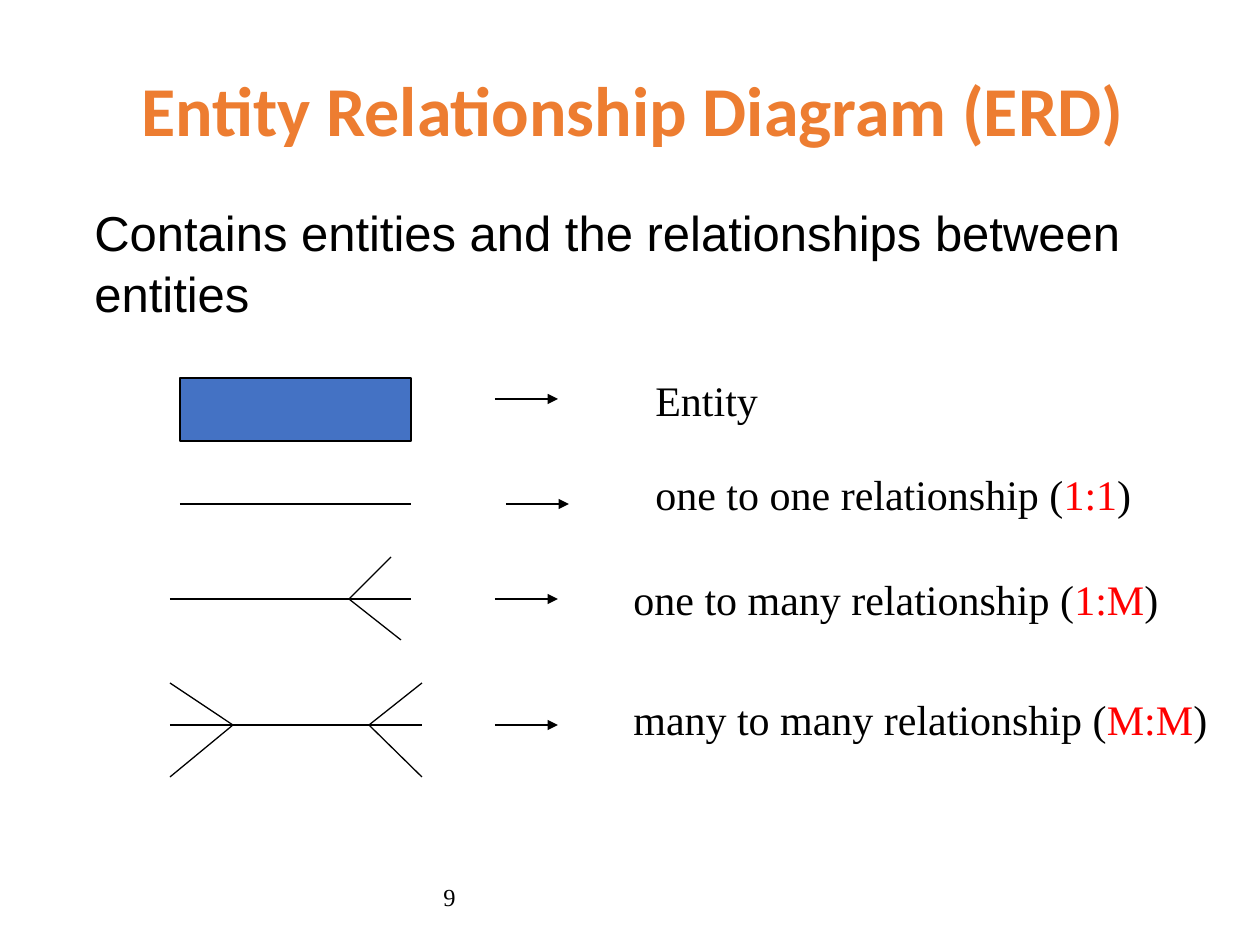
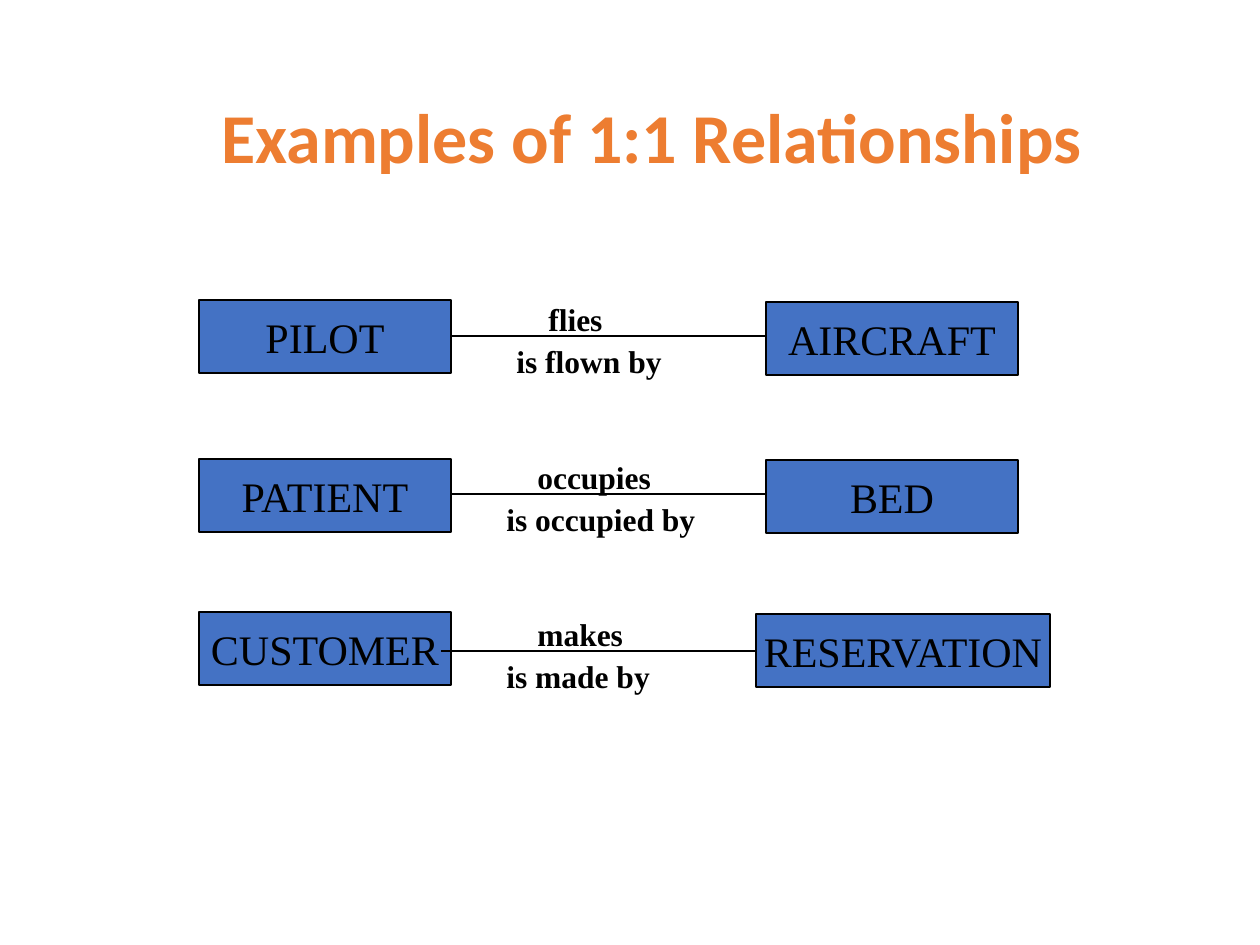
from lxml.etree import SubElement
from pptx import Presentation
from pptx.dml.color import RGBColor
from pptx.enum.shapes import MSO_CONNECTOR as CONNECTOR, MSO_SHAPE as SHAPE
from pptx.enum.text import MSO_ANCHOR as ANCHOR, PP_ALIGN as ALIGN
from pptx.oxml.ns import qn
from pptx.util import Pt

PX = 914400 / 126
COLORS = {"title": "ED7D31", "text": "000000", "cardinality": "FF0000",
          "entity": "4472C4", "line": "000000"}
SERIF = "Times New Roman"
TITLE = dict(font="Calibri", size=40, color="title", bold=True,
             align=ALIGN.CENTER, anchor=ANCHOR.BOTTOM, spacing=0.9)
ENTITY = dict(fill="entity", align=ALIGN.CENTER, anchor=ANCHOR.MIDDLE, wrap=False)


def write(slide, text, at, font=SERIF, size=24, color="text", bold=False,
          align=ALIGN.LEFT, anchor=ANCHOR.TOP, spacing=None, wrap=True,
          fill=None, marked=""):
    """Put text in a box, or in an outlined rectangle if fill is given.

    The part of the text that equals marked takes the cardinality colour.
    """
    place = [round(length * PX) for length in at]
    if fill:
        box = slide.shapes.add_shape(SHAPE.RECTANGLE, *place)
        box.shadow.inherit = False
        box.fill.solid()
        box.fill.fore_color.rgb = RGBColor.from_string(COLORS[fill])
        box.line.color.rgb = RGBColor.from_string(COLORS["line"])
        box.line.width = Pt(0.75)
    else:
        box = slide.shapes.add_textbox(*place)
    frame = box.text_frame
    frame.word_wrap = wrap
    frame.vertical_anchor = anchor
    paragraph = frame.paragraphs[0]
    paragraph.alignment = align
    if spacing:
        paragraph.line_spacing = spacing
    for part in text.partition(marked) if marked else [text]:
        if not part:
            continue
        run = paragraph.add_run()
        run.text = part
        run.font.name = font
        run.font.size = Pt(size)
        run.font.bold = bold
        ink = "cardinality" if part == marked else color
        run.font.color.rgb = RGBColor.from_string(COLORS[ink])


def draw_line(slide, x1, y1, x2, y2, arrow=False):
    ends = [round(length * PX) for length in (x1, y1, x2, y2)]
    line = slide.shapes.add_connector(CONNECTOR.STRAIGHT, *ends)
    line.line.color.rgb = RGBColor.from_string(COLORS["line"])
    line.line.width = Pt(0.75)
    if arrow:
        SubElement(line.line._get_or_add_ln(), qn("a:tailEnd"), type="triangle")
    SubElement(line._element.spPr, qn("a:effectLst"))


deck = Presentation()
deck.slide_width = round(1260 * PX)
deck.slide_height = round(945 * PX)
blank = deck.slide_layouts[6]

# Notation of the diagram
notation = deck.slides.add_slide(blank)
write(notation, "9", (431, 876, 399, 50), size=14)
write(notation, "Entity Relationship Diagram (ERD)", (97, 33, 1071, 125), **TITLE)
write(notation, "Contains entities and the relationships between entities",
      (82, 193, 1137, 645), font="Arial", size=28, spacing=1.05)
write(notation, "", (180, 378, 231, 63), **ENTITY)

symbol_lines = [
    (180, 504, 411, 504),                                                # 1:1
    (170, 599, 411, 599), (391, 557, 349, 599), (349, 599, 401, 640),    # 1:M
    (170, 725, 422, 725), (369, 725, 422, 683), (369, 725, 422, 777),    # M:M
    (170, 683, 233, 725), (233, 725, 170, 777),
]
for ends in symbol_lines:
    draw_line(notation, *ends)

# meaning, cardinality, left and top of the label, left and height of the arrow
meanings = [
    ("Entity", "", 643, 368, 495, 399),
    ("one to one relationship (1:1)", "1:1", 643, 462, 506, 504),
    ("one to many relationship (1:M)", "1:M", 621, 567, 495, 599),
    ("many to many relationship (M:M)", "M:M", 621, 687, 495, 725),
]
for meaning, cardinality, left, top, arrow_left, arrow_y in meanings:
    write(notation, meaning, (left, top, 630, 63), marked=cardinality)
    draw_line(notation, arrow_left, arrow_y, arrow_left + 63, arrow_y, arrow=True)

# Pairs of entities
examples = deck.slides.add_slide(blank)
write(examples, "Examples of 1:1 Relationships", (116, 73, 1071, 112), **TITLE)

# each entity: name, left, top, width; each verb: text, left
pairs = [
    (("PILOT", 199, 300, 252), ("AIRCRAFT", 766, 302, 252),
     ("flies", 536), ("is flown by", 504), 451),
    (("PATIENT", 199, 459, 252), ("BED", 766, 460, 252),
     ("occupies", 525), ("is occupied by", 494), 451),
    (("CUSTOMER", 199, 612, 252), ("RESERVATION", 756, 614, 294),
     ("makes", 525), ("is made by", 494), 441),
]
for row, (subject, partner, verb, inverse, link_left) in enumerate(pairs):
    link_y = 336 + round(157.5 * row)
    for name, left, top, width in (subject, partner):
        write(examples, name, (left, top, width, 73), **ENTITY)
    draw_line(examples, link_left, link_y, link_left + 315, link_y)
    for (label, left), top in ((verb, link_y - 42), (inverse, link_y)):
        write(examples, label, (left, top, 262, 50), size=18, bold=True)

deck.save("out.pptx")
